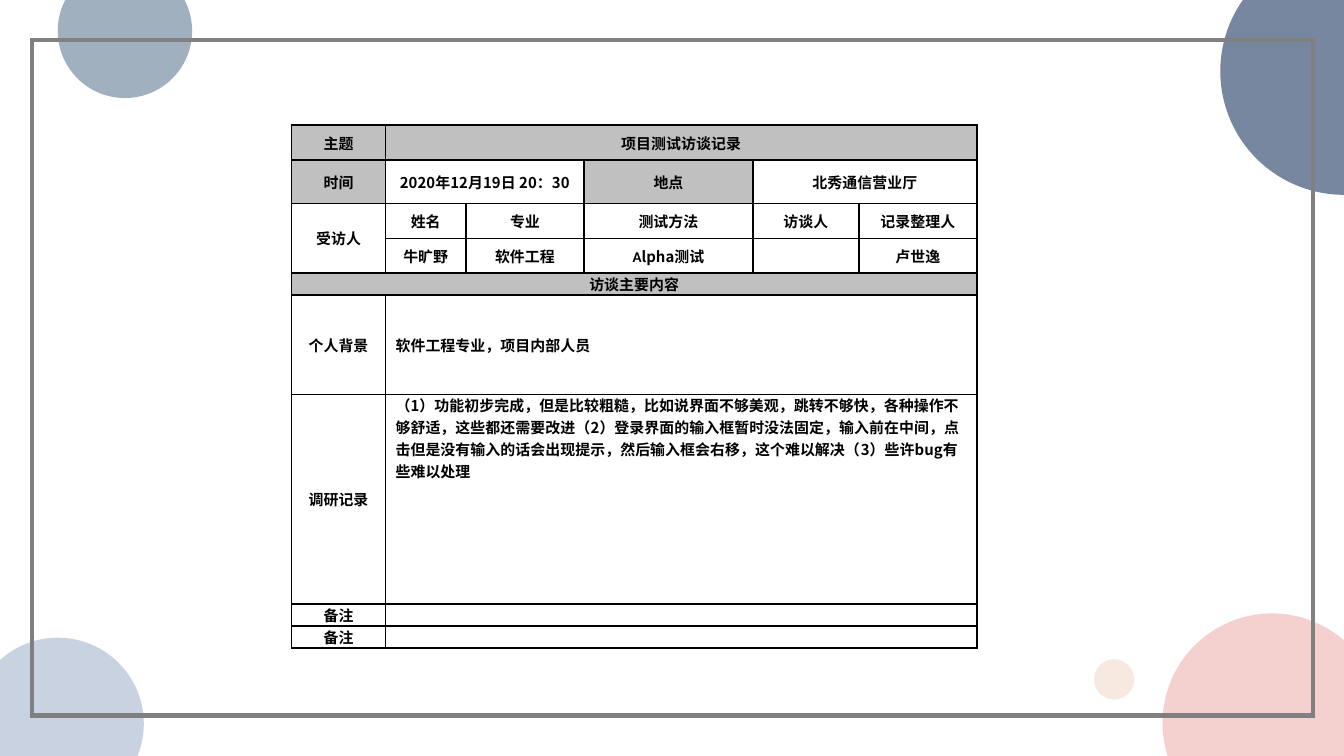
from dataclasses import dataclass

from lxml.etree import SubElement
from pptx import Presentation
from pptx.dml.color import RGBColor
from pptx.enum.shapes import MSO_SHAPE
from pptx.enum.text import MSO_ANCHOR, PP_ALIGN
from pptx.oxml.ns import qn
from pptx.util import Inches, Pt


@dataclass(frozen=True)
class Theme:
    """Colours, fonts and type sizes of the slide."""
    ink: str = "000000"
    head: str = "C0C0C0"
    frame: str = "808080"
    navy: str = "7787A0"
    pink: str = "F4D1CF"
    steel: str = "A0B0BF"
    sky: str = "C9D2E1"
    cream: str = "F7E9E0"
    font: str = "Noto Sans CJK SC"
    latin: str = "Calibri"
    size: float = 8
    rule: float = 1
    edge: float = 2.25


THEME = Theme()
WIDTH, HEIGHT = 10, 10 * 9 / 16
COLS = [0.7, 0.6, 0.88, 1.26, 0.79, 0.88]
ROWS = [0.26, 0.26, 0.26, 0.26, 0, 0.74, 1.56, 0, 0]
NOTES = (
    "（1）功能初步完成，但是比较粗糙，比如说界面不够美观，跳转不够快，各种操作不够舒适，"
    "这些都还需要改进（2）登录界面的输入框暂时没法固定，输入前在中间，"
    "点击但是没有输入的话会出现提示，然后输入框会右移，这个难以解决"
    "（3）些许bug有些难以处理"
)
TEXTS = [
    {0: "主题", 1: "项目测试访谈记录"},
    {0: "时间", 1: "2020年12月19日 20：30", 3: "地点", 4: "北秀通信营业厅"},
    {0: "受访人", 1: "姓名", 2: "专业", 3: "测试方法", 4: "访谈人", 5: "记录整理人"},
    {1: "牛旷野", 2: "软件工程", 3: "Alpha测试", 5: "卢世逸"},
    {0: "访谈主要内容"},
    {0: "个人背景", 1: "软件工程专业，项目内部人员"},
    {0: "调研记录", 1: NOTES},
    {0: "备注"},
    {0: "备注"},
]
SPANS = [(0, 1, 0, 5), (1, 1, 1, 2), (1, 4, 1, 5), (2, 0, 3, 0), (4, 0, 4, 5)]
SPANS += [(row, 1, row, 5) for row in range(5, 9)]
SHADED = {(0, 0), (0, 1), (1, 0), (1, 3), (4, 0)}
LEFT = {(5, 1), (6, 1)}
TOP = {(6, 1)}


def rgb(code):
    """Turn a hex code into a colour."""
    return RGBColor.from_string(code)


def add_disc(slide, left, top, size, color):
    """Draw one plain circle."""
    disc = slide.shapes.add_shape(
        MSO_SHAPE.OVAL, Inches(left), Inches(top), Inches(size), Inches(size))
    disc.shadow.inherit = False
    disc.fill.solid()
    disc.fill.fore_color.rgb = rgb(color)
    disc.line.fill.background()


def add_decor(slide, left, top, width, height):
    """Place the corner circles and the frame in the given box."""
    right, base = left + width, top + height
    for x, y, size, color in [
        (right - 0.92, top - 0.39, 1.84, THEME.navy),
        (right - 1.35, base - 1.06, 1.63, THEME.pink),
        (left + 0.43, top - 0.27, 1, THEME.steel),
        (left - 0.21, base - 0.88, 1.28, THEME.sky),
        (right - 1.86, base - 0.72, 0.3, THEME.cream),
    ]:
        add_disc(slide, x, y, size, color)
    frame = slide.shapes.add_shape(
        MSO_SHAPE.RECTANGLE, Inches(left + 0.24), Inches(top + 0.3),
        Inches(width - 0.47), Inches(height - 0.6))
    frame.shadow.inherit = False
    frame.fill.background()
    frame.line.color.rgb = rgb(THEME.frame)
    frame.line.width = Pt(THEME.edge)
    SubElement(frame.line._get_or_add_ln(), qn("a:miter"), lim="800000")


def add_run(para, text, font):
    """Add one bold run in the given font."""
    run = para.add_run()
    run.text = text
    run.font.size = Pt(THEME.size)
    run.font.bold = True
    run.font.color.rgb = rgb(THEME.ink)
    run.font.name = font
    SubElement(run._r.get_or_add_rPr(), qn("a:ea"), typeface=THEME.font)


def fill_text(para, text):
    """Write a cell's text, or keep an empty line small."""
    if not text:
        SubElement(para._p, qn("a:endParaRPr"), sz=str(int(THEME.size * 100)))
    elif text.startswith("A"):
        add_run(para, text[0], THEME.latin)
        add_run(para, text[1:], THEME.font)
    else:
        add_run(para, text, THEME.font)


def add_rules(cell):
    """Draw a thin line on all four sides of a cell."""
    props = cell._tc.get_or_add_tcPr()
    for side in "LRTB":
        line = SubElement(props, qn(f"a:ln{side}"), w=str(Pt(THEME.rule)))
        SubElement(SubElement(line, qn("a:solidFill")), qn("a:srgbClr"), val=THEME.ink)


def style_cell(cell, place, text):
    """Format and fill one cell."""
    add_rules(cell)
    if place in SHADED:
        cell.fill.solid()
        cell.fill.fore_color.rgb = rgb(THEME.head)
    else:
        cell.fill.background()
    cell.margin_left = cell.margin_right = Pt(5.4)
    cell.margin_top = cell.margin_bottom = 0
    cell.vertical_anchor = MSO_ANCHOR.TOP if place in TOP else MSO_ANCHOR.MIDDLE
    para = cell.text_frame.paragraphs[0]
    para.alignment = PP_ALIGN.LEFT if place in LEFT else PP_ALIGN.CENTER
    fill_text(para, text)


def add_record(slide, left, top, width, height):
    """Place the interview table in the given box."""
    frame = slide.shapes.add_table(
        len(ROWS), len(COLS), Inches(left), Inches(top),
        Inches(width), Inches(height))
    table = frame.table
    table.first_row = table.horz_banding = False
    for col, size in zip(table.columns, COLS):
        col.width = Inches(width * size / sum(COLS))
    for row, size in zip(table.rows, ROWS):
        row.height = Inches(size)
    frame.height = Inches(height)
    for row, texts in enumerate(TEXTS):
        for col in range(len(COLS)):
            style_cell(table.cell(row, col), (row, col), texts.get(col, ""))
    for row, col, last, end in SPANS:
        table.cell(row, col).merge(table.cell(last, end))


def main():
    """Build and save the slide."""
    deck = Presentation()
    deck.slide_width, deck.slide_height = Inches(WIDTH), Inches(HEIGHT)
    slide = deck.slides.add_slide(deck.slide_layouts[6])
    add_decor(slide, 0, 0, WIDTH, HEIGHT)
    add_record(slide, 2.17, 0.93, 5.1, 3.73)
    deck.save("out.pptx")


if __name__ == "__main__":
    main()
